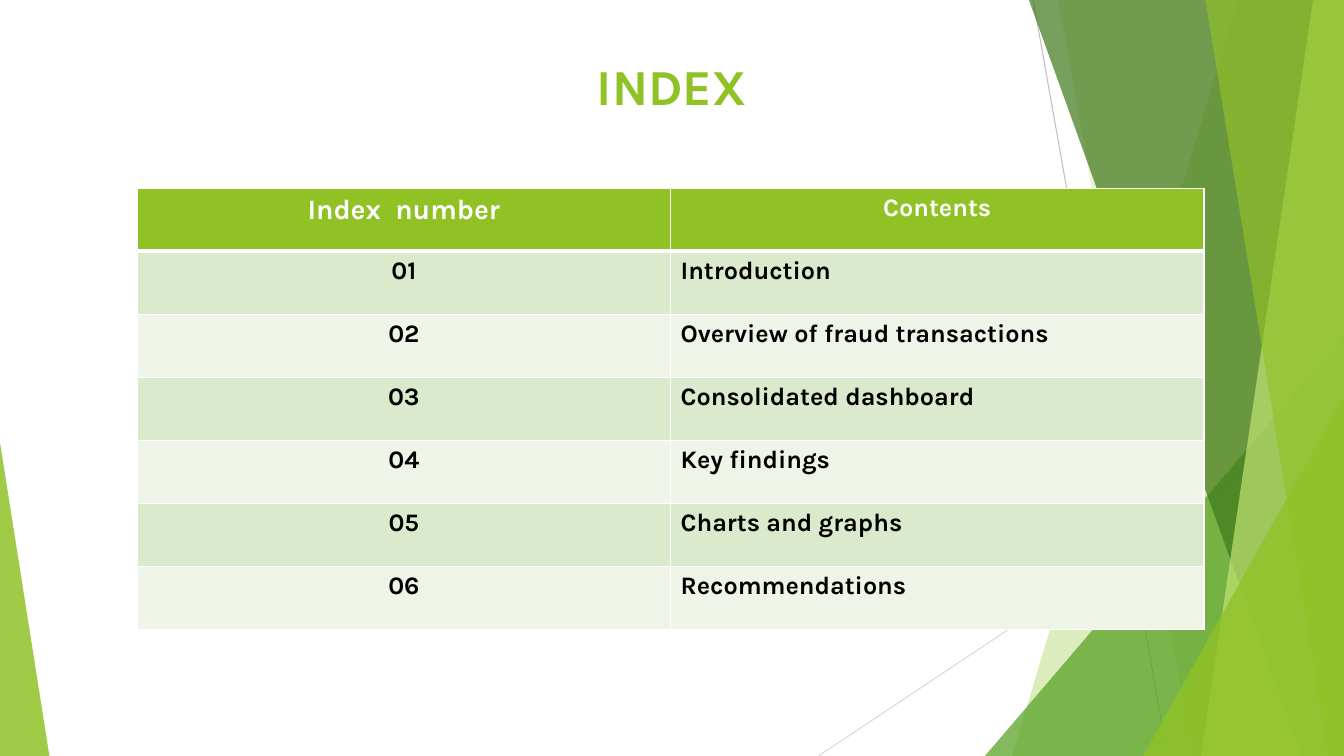
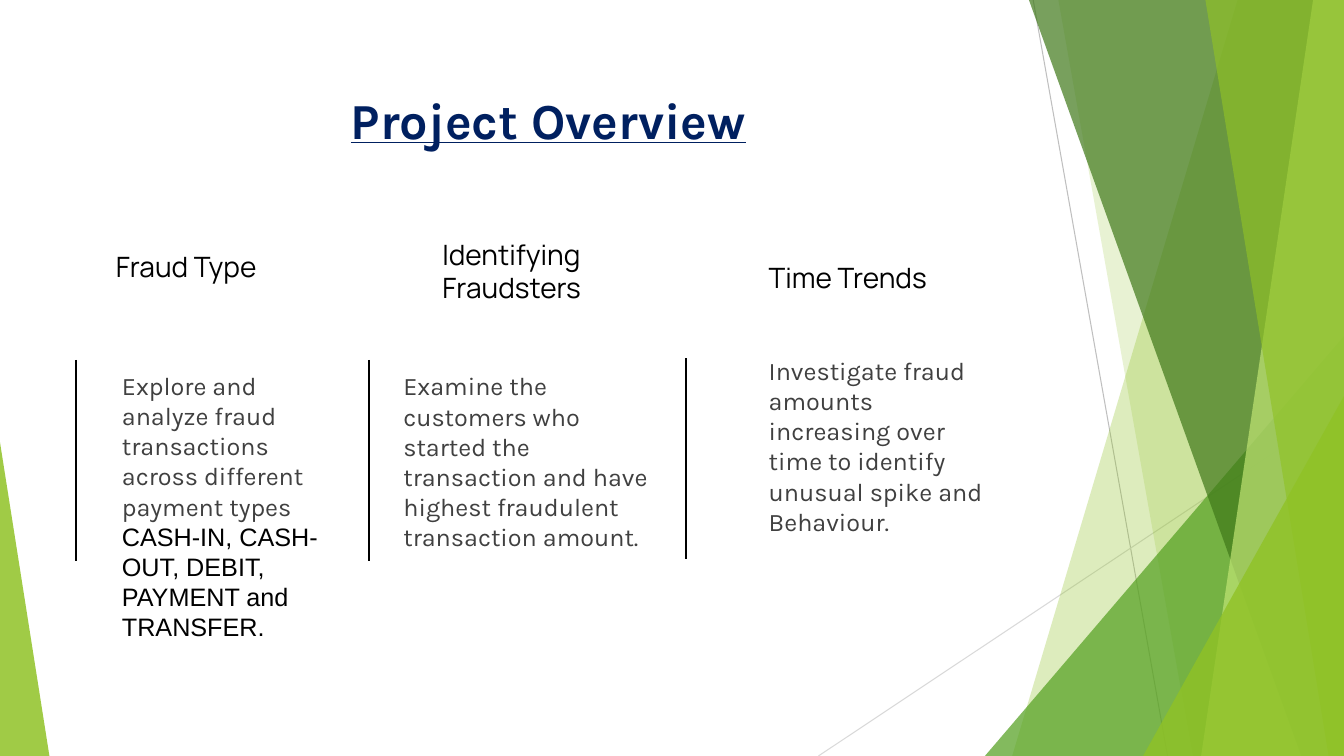
from lxml import etree
from pptx import Presentation
from pptx.dml.color import RGBColor
from pptx.enum.shapes import MSO_CONNECTOR, MSO_SHAPE
from pptx.enum.text import MSO_ANCHOR, PP_ALIGN
from pptx.oxml.ns import qn
from pptx.util import Pt

STRAIGHT = MSO_CONNECTOR.STRAIGHT
TRIANGLE = MSO_SHAPE.ISOSCELES_TRIANGLE
TOP, BOTTOM = MSO_ANCHOR.TOP, MSO_ANCHOR.BOTTOM
LEFT, CENTER = PP_ALIGN.LEFT, PP_ALIGN.CENTER

WHITE = RGBColor(0xFF, 0xFF, 0xFF)
BLACK = RGBColor(0x00, 0x00, 0x00)
LIME = RGBColor(0x90, 0xC2, 0x26)
PALE_LIME = RGBColor(0xC0, 0xE4, 0x74)
GREEN = RGBColor(0x54, 0xA0, 0x21)
DARK_GREEN = RGBColor(0x3F, 0x78, 0x19)
ROW_DARK = RGBColor(0xDB, 0xE9, 0xCD)
ROW_LIGHT = RGBColor(0xEE, 0xF4, 0xE8)
NAVY = RGBColor(0x00, 0x20, 0x60)
BODY_GRAY = RGBColor(0x40, 0x40, 0x40)
LINE_GRAY = RGBColor(0xBF, 0xBF, 0xBF)
LINE_PALE = RGBColor(0xD9, 0xD9, 0xD9)

WIDTH, HEIGHT = 960, 540

TITLE = {"name": "Karla", "size": Pt(36), "bold": True}
INDEX_TITLE = {**TITLE, "color": LIME}
OVERVIEW_TITLE = {**TITLE, "color": NAVY, "underline": True}
CELL = {"name": "Karla", "size": Pt(18), "bold": True, "color": BLACK}
HEADER = {**CELL, "color": WHITE}
HEADING = {"name": "Manrope", "size": Pt(20), "color": BLACK}
BODY = {"name": "Karla", "size": Pt(18), "color": BODY_GRAY}
PAYMENT_TYPES = {"name": "Arial", "size": Pt(18), "color": BLACK}

INDEX_ROWS = [
    "Introduction",
    "Overview of fraud transactions",
    "Consolidated dashboard",
    "Key findings",
    "Charts and graphs",
    "Recommendations",
]

# Each topic: heading, heading box, body spans, body box, rule (x, top)
TOPICS = [
    ("Fraud Type", (75.6, 170.6, 171.4, 38.9),
     [("Explore and analyze fraud transactions across different payment types ", BODY),
      ("CASH-IN, CASH-OUT, DEBIT, PAYMENT and TRANSFER.", PAYMENT_TYPES)],
     (80, 257, 171.4, 131), (54.4, 257)),
    ("Identifying Fraudsters", (308.9, 185.8, 171.4, 38.9),
     [("Examine the customers who started the transaction and have "
       "highest fraudulent transaction amount.", BODY)],
     (281, 257.5, 201, 120), (263.5, 257)),
    ("Time Trends", (542, 165.6, 180.7, 51.8),
     [("Investigate fraud amounts increasing over time to identify "
       "unusual spike and Behaviour.", BODY)],
     (542, 246.4, 171.4, 188.6), (490, 256)),
]


def add_spans(para, spans, align=LEFT):
    para.alignment = align
    for text, style in spans:
        span = para.add_run()
        span.text = text
        for key, value in style.items():
            if key == "color":
                span.font.color.rgb = value
            else:
                setattr(span.font, key, value)


def add_text(page, area, spans, align=LEFT, anchor=TOP, inset=7.2):
    """Place a wrapped text box; inset is its top and bottom margin."""
    box = page.shapes.add_textbox(*map(Pt, area))
    frame = box.text_frame
    settings = {"word_wrap": True, "vertical_anchor": anchor,
                "margin_top": Pt(inset), "margin_bottom": Pt(inset)}
    for key, value in settings.items():
        setattr(frame, key, value)
    add_spans(frame.paragraphs[0], spans, align)


def add_title(page, area, text, style):
    add_text(page, area, [(text, style)], CENTER, inset=3.6)


def add_line(page, start, end, color, weight):
    line = page.shapes.add_connector(STRAIGHT, *map(Pt, (*start, *end)))
    line.line.color.rgb = color
    line.line.width = Pt(weight)
    etree.SubElement(line.element.spPr, qn("a:effectLst"))


def fill_glass(shape, color, opacity):
    """Give a shape a see-through fill with no outline; opacity in percent."""
    shape.shadow.inherit = False
    shape.line.fill.background()
    shape.fill.solid()
    shape.fill.fore_color.rgb = color
    color_node = shape.element.spPr.find(".//" + qn("a:srgbClr"))
    etree.SubElement(color_node, qn("a:alpha"), val=str(opacity * 1000))


def add_band(page, top_x, bottom_x, color, opacity):
    """Fill everything from a slanted edge to the right side of the page."""
    corners = [(WIDTH, 0), (WIDTH, HEIGHT), (bottom_x, HEIGHT)]
    builder = page.shapes.build_freeform(Pt(top_x), Pt(0))
    builder.add_line_segments([(Pt(x), Pt(y)) for x, y in corners], close=True)
    fill_glass(builder.convert_to_shape(), color, opacity)


def add_wedge(page, left, top, right, apex, color, opacity):
    """Stand a triangle on the bottom edge; apex is 0 for left, 1 for right."""
    area = (left, top, right - left, HEIGHT - top)
    wedge = page.shapes.add_shape(TRIANGLE, *map(Pt, area))
    wedge.adjustments[0] = apex
    fill_glass(wedge, color, opacity)


def add_backdrop(page):
    add_line(page, (738, 0), (834, HEIGHT), LINE_GRAY, 0.75)
    add_line(page, (WIDTH, 290), (584.6, HEIGHT), LINE_PALE, 0.75)
    add_band(page, 884, 723, LIME, 30)
    add_band(page, 756, 852, LIME, 20)
    add_wedge(page, 703.5, 240, WIDTH, 1, GREEN, 72)
    add_band(page, 735, 929.5, DARK_GREEN, 70)
    add_band(page, 938, 858, PALE_LIME, 70)
    add_band(page, 861, 949, LIME, 65)
    add_wedge(page, 816.5, 283, WIDTH, 1, LIME, 80)
    add_wedge(page, 0, 316, 35.3, 0, LIME, 85)


def add_page(deck):
    page = deck.slides.add_slide(deck.slide_layouts[6])
    add_backdrop(page)
    return page


def set_borders(cell, weights):
    properties = cell._tc.get_or_add_tcPr()
    for side, weight in weights.items():
        border = etree.SubElement(properties, qn("a:ln" + side), w=str(Pt(weight)))
        fill = etree.SubElement(border, qn("a:solidFill"))
        etree.SubElement(fill, qn("a:srgbClr"), val=str(WHITE))


def fill_cell(cell, text, style, align, color, weights):
    add_spans(cell.text_frame.paragraphs[0], [(text, style)], align)
    set_borders(cell, weights)
    cell.fill.solid()
    cell.fill.fore_color.rgb = color


def add_index_table(page):
    row_count = len(INDEX_ROWS) + 1
    area = (98, 134.5, 762, 45 * row_count)
    table = page.shapes.add_table(row_count, 2, *map(Pt, area)).table
    table.horz_banding = False
    thin = {"L": 1, "R": 1, "T": 1, "B": 1}
    under_header = {**thin, "B": 3}

    header_cells = [("Index  number", {**HEADER, "size": Pt(20)}), ("Contents", HEADER)]
    for column, (text, style) in enumerate(header_cells):
        fill_cell(table.cell(0, column), text, style, CENTER, LIME, under_header)
    for row, topic in enumerate(INDEX_ROWS, start=1):
        color = ROW_DARK if row % 2 else ROW_LIGHT
        weights = {**thin, "T": 3} if row == 1 else thin
        for column, (text, align) in enumerate([(f"{row:02}", CENTER), (topic, LEFT)]):
            fill_cell(table.cell(row, column), text, CELL, align, color, weights)


def build_index(deck):
    page = add_page(deck)
    add_title(page, (84, 36, 792, 75), "INDEX", INDEX_TITLE)
    add_index_table(page)


def build_overview(deck):
    page = add_page(deck)
    add_title(page, (53.3, 60, 676.8, 81), "Project Overview", OVERVIEW_TITLE)
    for heading, heading_area, spans, body_area, (rule_x, rule_top) in TOPICS:
        add_text(page, heading_area, [(heading, HEADING)], anchor=BOTTOM)
        add_text(page, body_area, spans)
        add_line(page, (rule_x, rule_top), (rule_x, rule_top + 143.5), BLACK, 1.5)


def main():
    deck = Presentation()
    deck.slide_width, deck.slide_height = Pt(WIDTH), Pt(HEIGHT)
    build_index(deck)
    build_overview(deck)
    deck.save("out.pptx")


if __name__ == "__main__":
    main()
